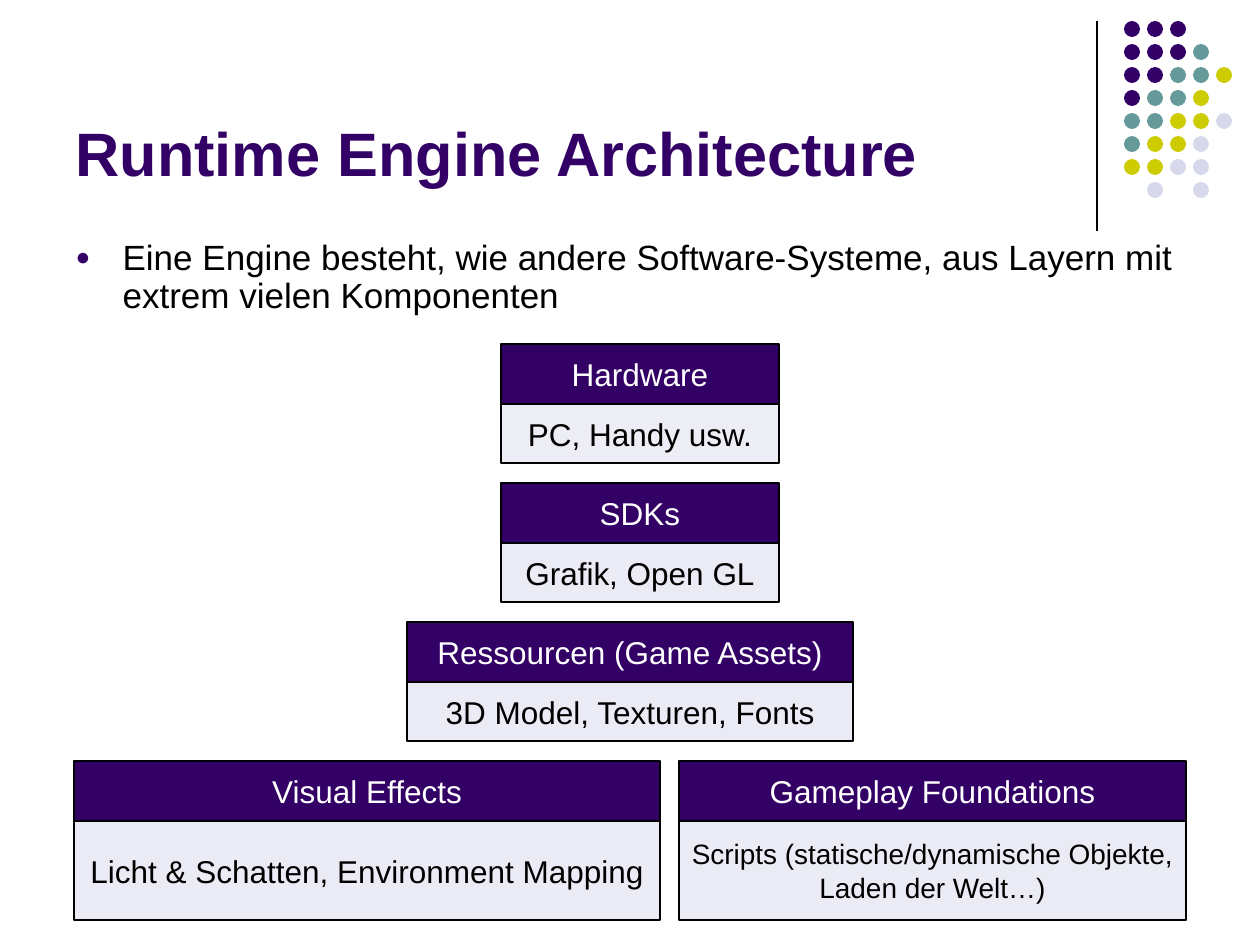
from lxml import etree
from pptx import Presentation
from pptx.dml.color import RGBColor
from pptx.enum.shapes import MSO_CONNECTOR, MSO_SHAPE
from pptx.enum.text import MSO_ANCHOR, MSO_AUTO_SIZE, PP_ALIGN
from pptx.oxml.ns import qn
from pptx.util import Pt

PX = 914400 / 126
LEFT, CENTER = PP_ALIGN.LEFT, PP_ALIGN.CENTER
TOP, MIDDLE, BOTTOM = MSO_ANCHOR.TOP, MSO_ANCHOR.MIDDLE, MSO_ANCHOR.BOTTOM
ELLIPSE, RECTANGLE = MSO_SHAPE.OVAL, MSO_SHAPE.RECTANGLE

BLACK, WHITE = "000000", "FFFFFF"
PURPLE, TEAL, OLIVE, LAVENDER = "330066", "669999", "CCCC00", "D8D8EC"


def emu(*lengths):
    return [round(length * PX) for length in lengths]


def write(shape, text, size=18, color=BLACK, bold=False, align=CENTER,
          anchor=MIDDLE, wrap=False):
    frame = shape.text_frame
    frame.auto_size = MSO_AUTO_SIZE.NONE
    frame.word_wrap = wrap
    frame.vertical_anchor = anchor
    frame.text = text
    for paragraph in frame.paragraphs:
        paragraph.alignment = align
        paragraph.space_before = Pt(0)
        font = paragraph.runs[0].font
        font.name, font.size, font.bold = "Arial", Pt(size), bold
        font.color.rgb = RGBColor.from_string(color)


presentation = Presentation()
presentation.slide_width, presentation.slide_height = emu(1260, 945)
slide = presentation.slides.add_slide(presentation.slide_layouts[1])
shapes = slide.shapes

# Corner decoration: a vertical rule and a grid of dots
x, top, bottom = emu(1097, 21, 231)
rule = shapes.add_connector(MSO_CONNECTOR.STRAIGHT, x, top, x, bottom)
rule.line.color.rgb = RGBColor.from_string(BLACK)
rule.line.width = Pt(0.75)
etree.SubElement(rule._element.spPr, qn("a:effectLst"))

DOT_COLORS = {"P": PURPLE, "T": TEAL, "O": OLIVE, "L": LAVENDER}
DOT_ROWS = ["PPP", "PPPT", "PPTTO", "PTTO", "TTOOL", "TOOL", "OOLL", " L L"]
for row, codes in enumerate(DOT_ROWS):
    for column, code in enumerate(codes):
        if code == " ":
            continue
        dot = shapes.add_shape(
            ELLIPSE, *emu(1124 + 23 * column, 21 + 23 * row, 16, 16))
        dot.shadow.inherit = False
        dot.fill.solid()
        dot.fill.fore_color.rgb = RGBColor.from_string(DOT_COLORS[code])
        dot.line.fill.background()

# Title and bullet
title = shapes.title
title.left, title.top, title.width, title.height = emu(63, 16, 1040, 179)
write(title, "Runtime Engine Architecture", size=35, color=PURPLE, bold=True,
      align=LEFT, anchor=BOTTOM, wrap=True)

body = slide.placeholders[1]
body.left, body.top, body.width, body.height = emu(63, 234, 1134, 90)
write(body, "Eine Engine besteht, wie andere Software-Systeme, aus Layern mit "
      "extrem vielen Komponenten", size=20, align=LEFT, anchor=TOP, wrap=True)
bullet = body.text_frame.paragraphs[0]
bullet.line_spacing = 0.9
properties = bullet._p.get_or_add_pPr()
indent = emu(47)[0]
properties.set("marL", str(indent))
properties.set("indent", str(-indent))
bullet_color = etree.SubElement(properties, qn("a:buClr"))
etree.SubElement(bullet_color, qn("a:srgbClr"), val=PURPLE)
etree.SubElement(properties, qn("a:buSzPct"), val="70000")
etree.SubElement(properties, qn("a:buFont"), typeface="Arial")
etree.SubElement(properties, qn("a:buChar"), char="●")

# Layers: level, left, width, body height, heading, content, content size, opacity
LAYERS = [
    (0, 501, 278, 59, "Hardware", "PC, Handy usw.", 18, 44),
    (1, 501, 278, 59, "SDKs", "Grafik, Open GL", 18, 50),
    (2, 407, 446, 59, "Ressourcen (Game Assets)",
     "3D Model, Texturen, Fonts", 18, 50),
    (3, 74, 586, 99, "Visual Effects",
     "Licht & Schatten, Environment Mapping", 18, 50),
    (3, 679, 507, 99, "Gameplay Foundations",
     "Scripts (statische/dynamische Objekte,\nLaden der Welt…)", 16, 50),
]
HEADING_HEIGHT = 60
for level, left, width, height, heading, content, size, opacity in LAYERS:
    top = 344 + 139 * level
    parts = [
        (top, HEADING_HEIGHT, heading, 18, WHITE, PURPLE, 100),
        (top + HEADING_HEIGHT, height, content, size, BLACK, LAVENDER, opacity),
    ]
    for y, box_height, text, text_size, text_color, fill, alpha in parts:
        box = shapes.add_shape(RECTANGLE, *emu(left, y, width, box_height))
        box.shadow.inherit = False
        box.fill.solid()
        box.fill.fore_color.rgb = RGBColor.from_string(fill)
        if alpha < 100:
            fill_color = box._element.spPr.find(qn("a:solidFill"))[0]
            etree.SubElement(fill_color, qn("a:alpha"), val=str(alpha * 1000))
        box.line.color.rgb = RGBColor.from_string(BLACK)
        box.line.width = Pt(0.75)
        write(box, text, size=text_size, color=text_color)

presentation.save("out.pptx")
